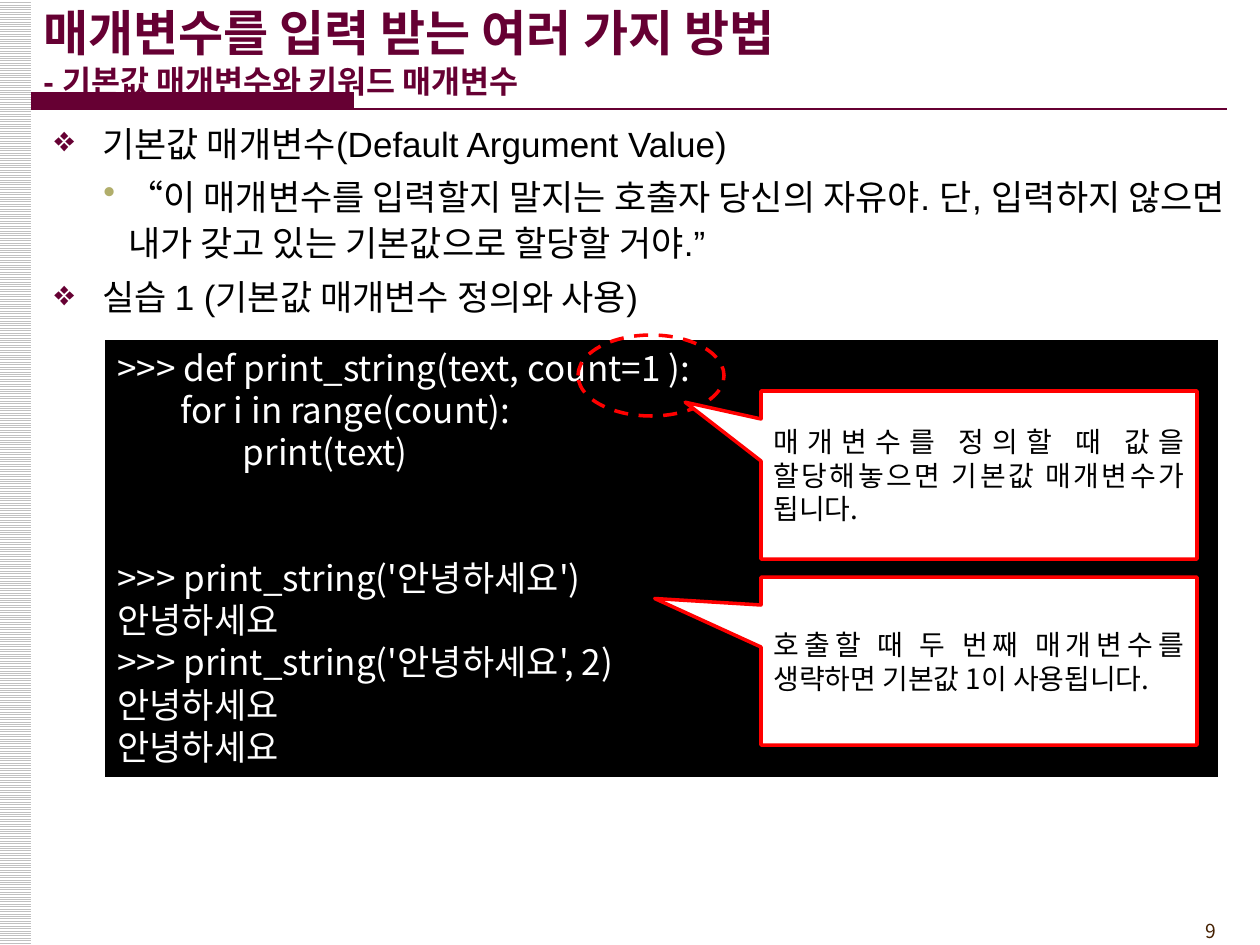
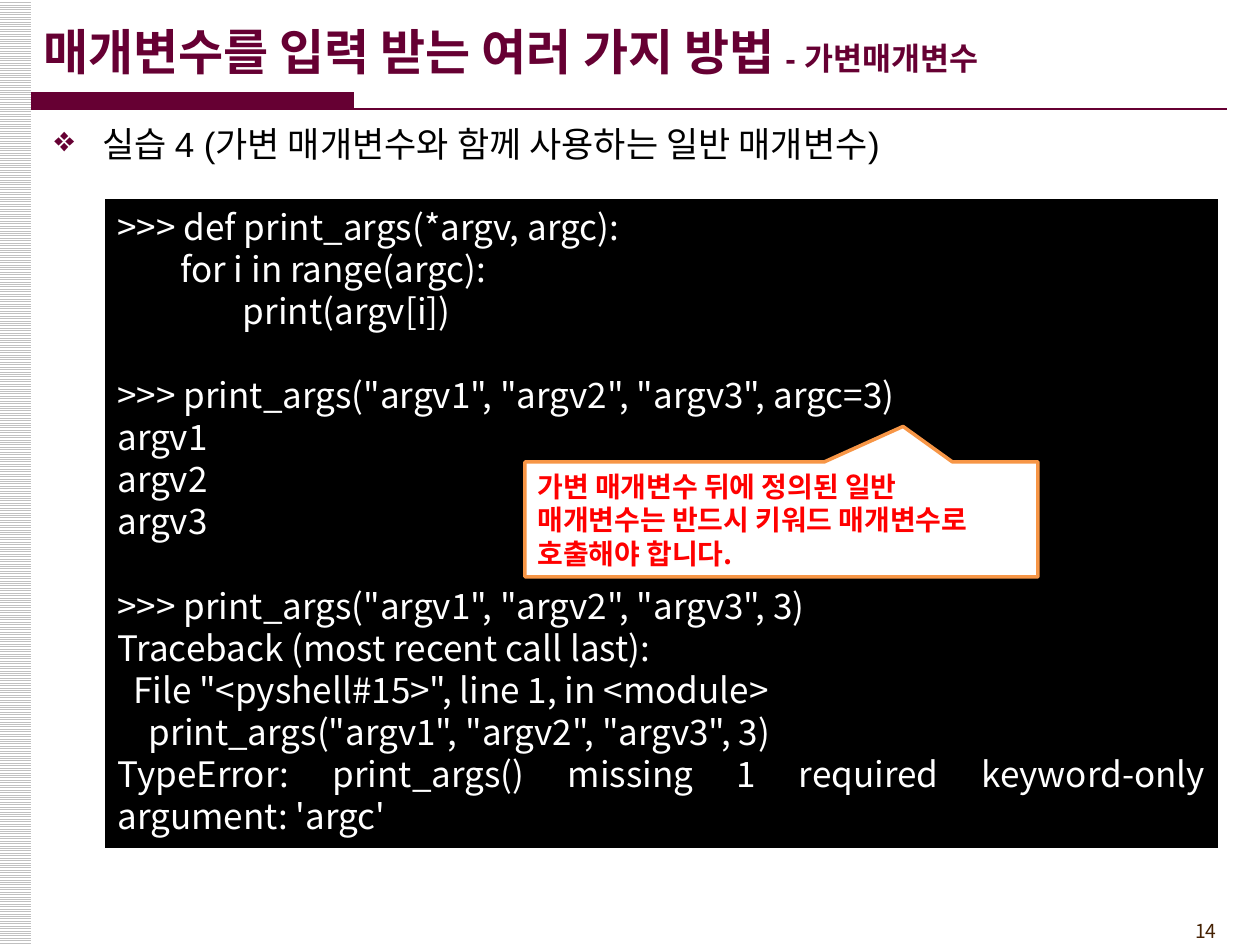
from lxml import etree
from pptx import Presentation
from pptx.dml.color import RGBColor
from pptx.enum.dml import MSO_LINE_DASH_STYLE as Dash, MSO_PATTERN_TYPE as Pattern
from pptx.enum.shapes import MSO_CONNECTOR as Connector, MSO_SHAPE as Shape
from pptx.enum.text import MSO_ANCHOR as Anchor, PP_ALIGN as Align
from pptx.oxml.ns import qn
from pptx.util import Pt

WINE = RGBColor(0x66, 0x00, 0x33)
OLIVE = RGBColor(0xB1, 0xAE, 0x6B)
BROWN = RGBColor(0x45, 0x21, 0x03)
GREY = RGBColor(0xC0, 0xC0, 0xC0)
RED = RGBColor(0xFF, 0x00, 0x00)
ORANGE = RGBColor(0xF7, 0x96, 0x46)
BLACK = RGBColor(0x00, 0x00, 0x00)
WHITE = RGBColor(0xFF, 0xFF, 0xFF)
LATIN, KOREAN = "Arial", "Noto Sans CJK KR"

# Content: bullets are (level, text), an empty code line is a gap
TITLE = "매개변수를 입력 받는 여러 가지 방법"
SLIDES = [
    {
        "number": "9",
        "subtitle": "- 기본값 매개변수와 키워드 매개변수",
        "subtitle_below": True,
        "title_width": 1042,
        "bullets": [
            (0, "기본값 매개변수(Default Argument Value)"),
            (1, "“이 매개변수를 입력할지 말지는 호출자 당신의 자유야. 단, 입력하지 "
                "않으면 내가 갖고 있는 기본값으로 할당할 거야.”"),
            (0, "실습 1 (기본값 매개변수 정의와 사용)"),
        ],
        "code_span": (340, 437),
        "code": """>>> def print_string(text, count=1 ):
        for i in range(count):
                print(text)


>>> print_string('안녕하세요')
안녕하세요
>>> print_string('안녕하세요', 2)
안녕하세요
안녕하세요""",
        "highlight": (578, 335, 146, 81),
        "callouts": [
            {"box": (761, 391, 436, 168), "tip": (-0.674, -0.433), "line": RED,
             "color": BLACK, "bold": False, "align": Align.JUSTIFY,
             "text": "매개변수를 정의할 때 값을 할당해놓으면 기본값 매개변수가 됩니다."},
            {"box": (761, 577, 436, 168), "tip": (-0.744, -0.372), "line": RED,
             "color": BLACK, "bold": False, "align": Align.JUSTIFY,
             "text": "호출할 때 두 번째 매개변수를 생략하면 기본값 1이 사용됩니다."},
        ],
    },
    {
        "number": "14",
        "subtitle": "- 가변매개변수",
        "subtitle_below": False,
        "title_width": 1179,
        "bullets": [(0, "실습 4 (가변 매개변수와 함께 사용하는 일반 매개변수)")],
        "code_span": (199, 649),
        "code": """>>> def print_args(*argv, argc):
        for i in range(argc):
                print(argv[i])

>>> print_args("argv1", "argv2", "argv3", argc=3)
argv1
argv2
argv3

>>> print_args("argv1", "argv2", "argv3", 3)
Traceback (most recent call last):
  File "<pyshell#15>", line 1, in <module>
    print_args("argv1", "argv2", "argv3", 3)
TypeError: print_args() missing 1 required keyword-only argument: 'argc'""",
        "highlight": None,
        "callouts": [
            {"box": (525, 462, 513, 115), "tip": (0.237, -0.809), "line": ORANGE,
             "color": RED, "bold": True, "align": Align.LEFT,
             "text": "가변 매개변수 뒤에 정의된 일반 매개변수는 반드시 "
                     "키워드 매개변수로 호출해야 합니다."},
        ],
    },
]

# Per bullet level: mark, its colour, left margin and hanging indent in px
LEVELS = [
    {"mark": "❖", "color": WINE, "margin": 48, "hang": 48,
     "format": {"space_before": Pt(4)}},
    {"mark": "•", "color": OLIVE, "margin": 74, "hang": 25,
     "format": {"space_before": Pt(4), "space_after": Pt(3), "line_spacing": 1.1}},
]
CODE_LINE = 24.2  # height of one code line in points


def px(length):
    return round(length * 914400 / 126)


def box_px(box):
    return [px(length) for length in box]


def add_run(paragraph, text, size, color, latin=KOREAN, bold=False):
    run = paragraph.add_run()
    run.text = text
    for name, value in {"size": Pt(size), "name": latin, "bold": bold}.items():
        setattr(run.font, name, value)
    run.font.color.rgb = color
    east_asian = etree.SubElement(run.font._element, qn("a:ea"))
    east_asian.set("typeface", KOREAN)


def next_paragraph(frame, index):
    return frame.add_paragraph() if index else frame.paragraphs[0]


def add_text_box(slide, box, anchor=Anchor.TOP):
    frame = slide.shapes.add_textbox(*box_px(box)).text_frame
    frame.word_wrap = True
    frame.vertical_anchor = anchor
    return frame


def add_shape(slide, kind, box, fill=None, line=None):
    shape = slide.shapes.add_shape(kind, *box_px(box))
    shape.shadow.inherit = False
    if fill is None:
        shape.fill.background()
    else:
        shape.fill.solid()
        shape.fill.fore_color.rgb = fill
    if line is None:
        shape.line.fill.background()
    else:
        shape.line.color.rgb = line
        shape.line.width = Pt(2)
    return shape


def add_frame(slide, number):
    # Striped edge
    edge = add_shape(slide, Shape.RECTANGLE, (-1, 0, 32, 945))
    edge.fill.patterned()
    edge.fill.pattern = Pattern.LIGHT_HORIZONTAL
    edge.fill.fore_color.rgb = GREY
    edge.fill.back_color.rgb = WHITE
    # Page number
    paragraph = add_text_box(slide, (1124, 913, 105, 37)).paragraphs[0]
    paragraph.alignment = Align.RIGHT
    add_run(paragraph, number, 11, BROWN)
    # Title band and rule
    add_shape(slide, Shape.RECTANGLE, (31, 92, 323, 18), WINE)
    rule = slide.shapes.add_connector(Connector.STRAIGHT, *box_px((31, 109, 1227, 109)))
    rule.line.color.rgb = WINE
    rule.line.width = Pt(1.5)
    etree.SubElement(rule._element.spPr, qn("a:effectLst"))


def add_title(slide, content):
    frame = add_text_box(slide, (31, 11, content["title_width"], 80), Anchor.MIDDLE)
    paragraph = frame.paragraphs[0]
    below = content["subtitle_below"]
    add_run(paragraph, TITLE if below else TITLE + " ", 28, WINE, LATIN, True)
    if below:
        paragraph.add_line_break()
    add_run(paragraph, content["subtitle"], 18, WINE, LATIN, True)


def add_bullets(slide, bullets):
    frame = add_text_box(slide, (42, 116, 1197, 788))
    for index, (depth, text) in enumerate(bullets):
        paragraph = next_paragraph(frame, index)
        level = LEVELS[depth]
        for name, value in level["format"].items():
            if index or name != "space_before":
                setattr(paragraph, name, value)
        properties = paragraph._p.get_or_add_pPr()
        properties.set("marL", str(px(level["margin"])))
        properties.set("indent", str(-px(level["hang"])))
        color = etree.SubElement(properties, qn("a:buClr"))
        etree.SubElement(color, qn("a:srgbClr")).set("val", str(level["color"]))
        etree.SubElement(properties, qn("a:buChar")).set("char", level["mark"])
        add_run(paragraph, text, 20, BLACK, LATIN)


def add_code(slide, span, code):
    top, height = span
    frame = add_shape(slide, Shape.RECTANGLE, (105, top, 1113, height), BLACK).text_frame
    frame.word_wrap = True
    frame.vertical_anchor = Anchor.TOP
    gap = 0
    for index, line in enumerate(code.split("\n")):
        if not line:
            gap += 1
            continue
        paragraph = next_paragraph(frame, index)
        paragraph.alignment = Align.JUSTIFY
        if gap:
            paragraph.space_before = Pt(gap * CODE_LINE)
        gap = 0
        add_run(paragraph, line, 20, WHITE)


def add_callout(slide, callout):
    shape = add_shape(slide, Shape.RECTANGULAR_CALLOUT, callout["box"], WHITE, callout["line"])
    for index, value in enumerate(callout["tip"]):
        shape.adjustments[index] = value
    frame = shape.text_frame
    frame.word_wrap = True
    frame.vertical_anchor = Anchor.MIDDLE
    paragraph = frame.paragraphs[0]
    paragraph.alignment = callout["align"]
    add_run(paragraph, callout["text"], 16, callout["color"], bold=callout["bold"])


def main():
    presentation = Presentation()
    presentation.slide_width, presentation.slide_height = px(1260), px(945)
    for content in SLIDES:
        slide = presentation.slides.add_slide(presentation.slide_layouts[6])
        add_frame(slide, content["number"])
        add_bullets(slide, content["bullets"])
        add_title(slide, content)
        add_code(slide, content["code_span"], content["code"])
        if content["highlight"]:
            ellipse = add_shape(slide, Shape.OVAL, content["highlight"], line=RED)
            ellipse.line.dash_style = Dash.DASH
        for callout in content["callouts"]:
            add_callout(slide, callout)
    presentation.save("out.pptx")


if __name__ == "__main__":
    main()
